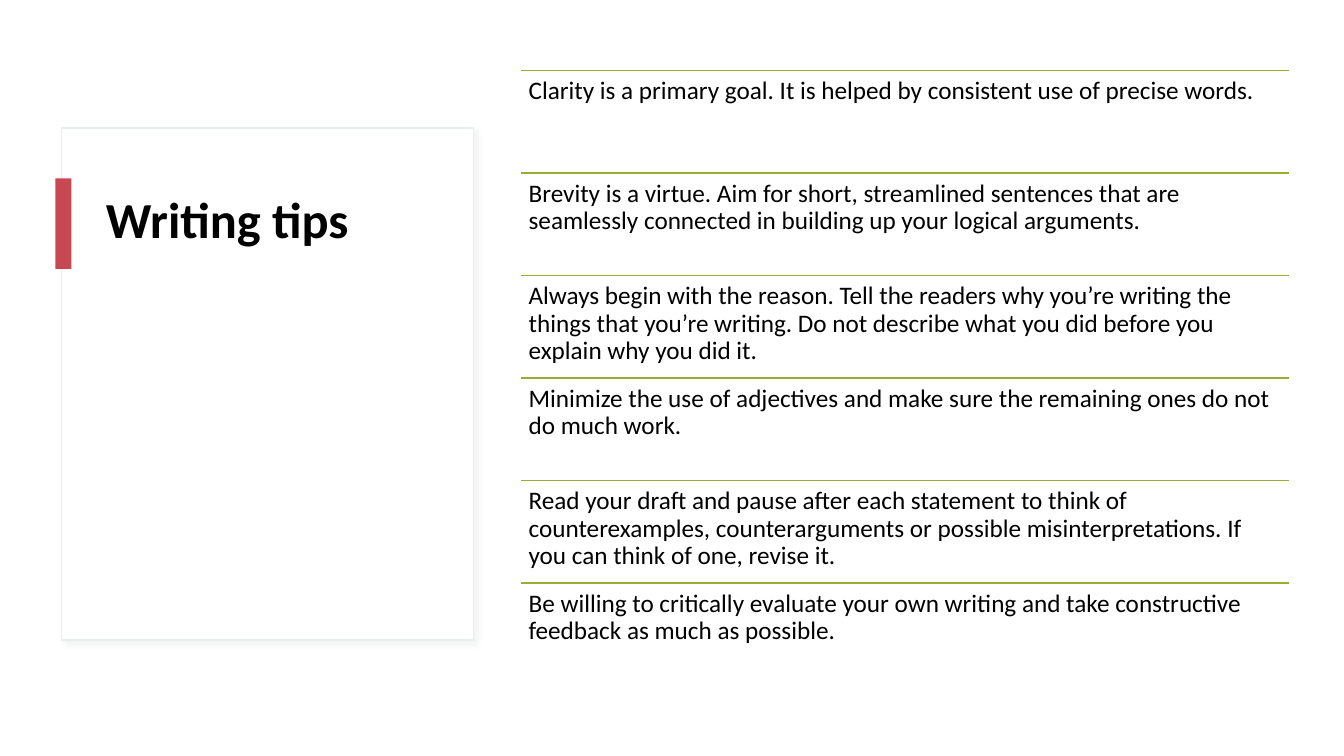
from lxml.etree import SubElement
from pptx import Presentation
from pptx.dml.color import RGBColor
from pptx.enum.shapes import MSO_CONNECTOR as Connector, MSO_SHAPE as Shape
from pptx.enum.text import MSO_ANCHOR as Anchor, MSO_AUTO_SIZE as AutoSize, PP_ALIGN as Align
from pptx.oxml.ns import qn
from pptx.util import Pt

TITLE = "Writing tips"
TIPS = [
    "Clarity is a primary goal. It is helped by consistent use of precise words.",
    "Brevity is a virtue. Aim for short, streamlined sentences that are seamlessly connected in building up your logical arguments.",
    "Always begin with the reason. Tell the readers why you’re writing the things that you’re writing. Do not describe what you did before you explain why you did it.",
    "Minimize the use of adjectives and make sure the remaining ones do not do much work.",
    "Read your draft and pause after each statement to think of counterexamples, counterarguments or possible misinterpretations. If you can think of one, revise it.",
    "Be willing to critically evaluate your own writing and take constructive feedback as much as possible.",
]
FONT = "Calibri"
WHITE, BLACK, RED, GREEN = "FFFFFF", "000000", "C74852", "99AD34"
CARD_EDGE, CARD_SHADOW = "E5F0EF", "D9D9D9"
CARD = (43.9, 91.4, 294.5, 365.8)
TITLE_AREA = (68.4, 135.4, 244, 277)
ACCENT = (39.6, 127.4, 11.5, 64.8)
TIPS_LEFT, TIPS_TOP, TIPS_WIDTH, TIP_HEIGHT = 372.2, 50.4, 548.6, 73.2
TIP_INSET = 5.4


def color(code):
    return RGBColor.from_string(code)


def add_rectangle(page, area, fill):
    box = page.shapes.add_shape(Shape.RECTANGLE, *map(Pt, area))
    box.shadow.inherit = False
    box.fill.solid()
    box.fill.fore_color.rgb = color(fill)
    box.line.fill.background()
    return box


def add_card(page):
    card = add_rectangle(page, CARD, WHITE)
    card.line.color.rgb = color(CARD_EDGE)
    card.line.width = Pt(1)
    effects = card.element.spPr.find(qn("a:effectLst"))
    shadow = SubElement(effects, qn("a:outerShdw"), blurRad=str(Pt(4)),
                        dist=str(Pt(3)), dir="2700000", algn="tl", rotWithShape="0")
    shade = SubElement(shadow, qn("a:srgbClr"), val=CARD_SHADOW)
    SubElement(shade, qn("a:alpha"), val="30000")
    return card


def write(box, text, size, bold=False):
    frame = box.text_frame
    frame.text = text
    frame.word_wrap = True
    frame.auto_size = AutoSize.NONE
    frame.vertical_anchor = Anchor.TOP
    para = frame.paragraphs[0]
    para.alignment = Align.LEFT
    para.line_spacing = 0.9
    font = para.runs[0].font
    font.name, font.size, font.bold = FONT, Pt(size), bold
    font.color.rgb = color(BLACK)
    return frame


def add_tip(page, top, text):
    rule = page.shapes.add_connector(
        Connector.STRAIGHT, Pt(TIPS_LEFT), Pt(top), Pt(TIPS_LEFT + TIPS_WIDTH), Pt(top))
    rule.line.color.rgb = color(GREEN)
    rule.line.width = Pt(1)
    SubElement(rule.element.spPr, qn("a:effectLst"))
    box = page.shapes.add_textbox(Pt(TIPS_LEFT), Pt(top), Pt(TIPS_WIDTH), Pt(TIP_HEIGHT))
    frame = write(box, text, 18)
    frame.margin_left = frame.margin_right = Pt(TIP_INSET)
    frame.margin_top = frame.margin_bottom = Pt(TIP_INSET)


def main():
    deck = Presentation()
    deck.slide_width, deck.slide_height = Pt(960), Pt(540)
    page = deck.slides.add_slide(deck.slide_layouts[5])
    title = page.shapes.title
    title.left, title.top, title.width, title.height = map(Pt, TITLE_AREA)
    write(title, TITLE, 36, bold=True)
    title.element.addprevious(add_card(page).element)
    add_rectangle(page, ACCENT, RED)
    for row, tip in enumerate(TIPS):
        add_tip(page, TIPS_TOP + row * TIP_HEIGHT, tip)
    deck.save("out.pptx")


if __name__ == "__main__":
    main()
